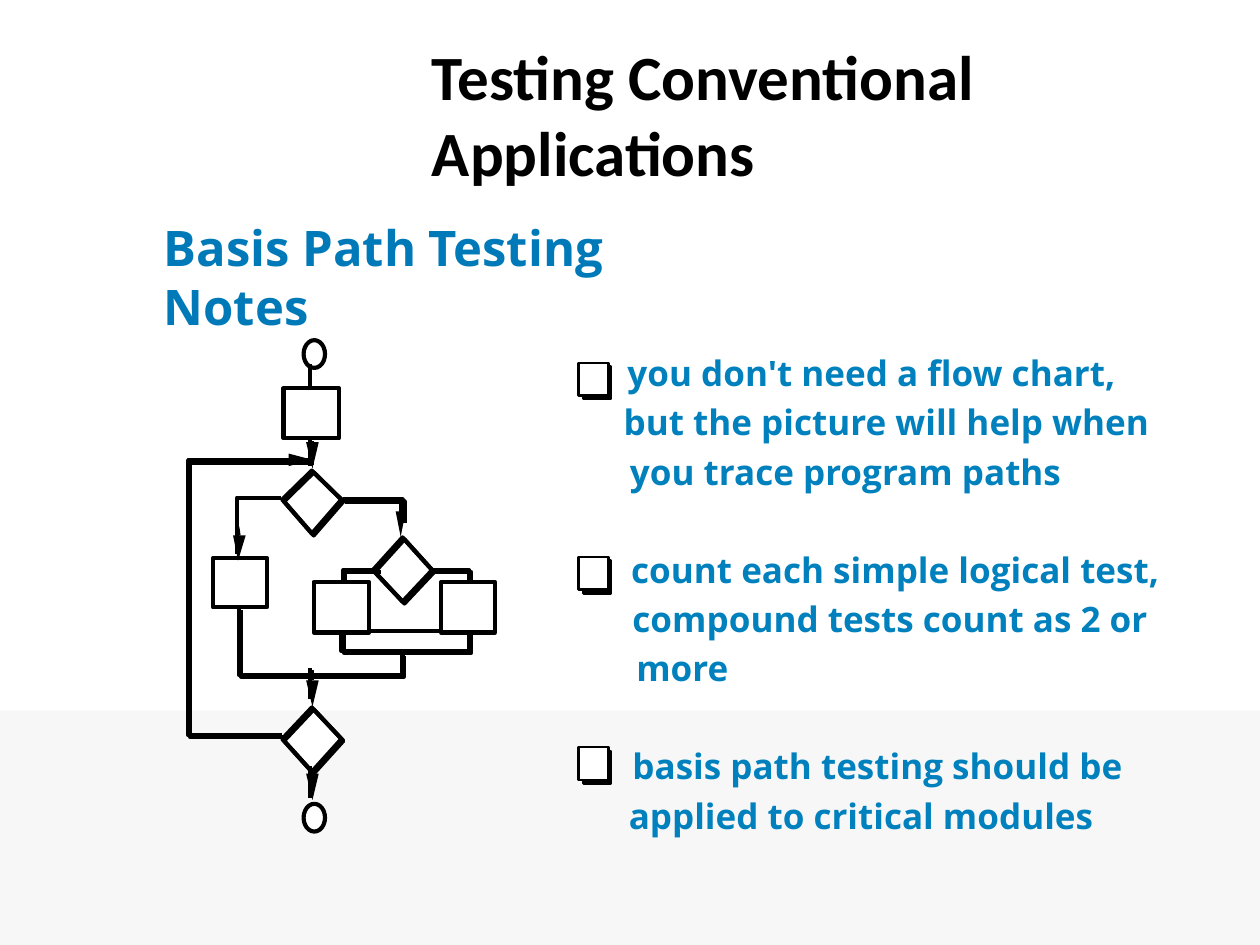
from lxml.etree import SubElement
from pptx import Presentation
from pptx.dml.color import RGBColor
from pptx.enum.shapes import MSO_CONNECTOR as Connector, MSO_SHAPE as Shape
from pptx.enum.text import MSO_ANCHOR as Anchor, MSO_AUTO_SIZE as AutoSize, PP_ALIGN as Align
from pptx.oxml.ns import qn
from pptx.util import Inches, Pt

BLACK = RGBColor(0x00, 0x00, 0x00)
WHITE = RGBColor(0xFF, 0xFF, 0xFF)
BAND = RGBColor(0xF7, 0xF7, 0xF7)
TITLE_BLUE = RGBColor(0x00, 0x79, 0xB8)
NOTE_BLUE = RGBColor(0x00, 0x81, 0xBD)
THICK, THIN = 2.38, 1.39
OFFSET = 0.015


class FlowSlide:
    def __init__(self, slide):
        self.slide = slide
        self.shapes = slide.shapes

    def paint(self, shape, fill=None, line=None, weight=THICK):
        shape.shadow.inherit = False
        if fill is None:
            shape.fill.background()
        else:
            shape.fill.solid()
            shape.fill.fore_color.rgb = fill
        if line is None:
            shape.line.fill.background()
        else:
            shape.line.color.rgb = line
            shape.line.width = Pt(weight)

    def preset(self, kind, left, top, width, height, **paint):
        shape = self.shapes.add_shape(
            kind, Inches(left), Inches(top), Inches(width), Inches(height))
        self.paint(shape, **paint)

    def framed(self, kind, left, top, width, height):
        self.preset(kind, left + OFFSET, top + OFFSET,
                    width - 2 * OFFSET, height - 2 * OFFSET, fill=WHITE)
        self.preset(kind, left, top, width, height, line=BLACK)

    def outline(self, points, shift=0, closed=False, **paint):
        corners = [(Inches(x - shift), Inches(y - shift)) for x, y in points]
        builder = self.shapes.build_freeform(*corners[0])
        builder.add_line_segments(corners[1:], close=closed)
        self.paint(builder.convert_to_shape(), **paint)

    def wire(self, *points, closed=False):
        for shift in (0, OFFSET):
            self.outline(points, shift, closed, line=BLACK)

    def decision(self, center, top, middle, bottom):
        half = 0.235
        corners = [(center, top), (center - half, middle),
                   (center, bottom), (center + half, middle)]
        self.outline(corners, closed=True, fill=WHITE)
        self.wire(*corners, closed=True)

    def line(self, start, end, weight=THICK):
        connector = self.shapes.add_connector(
            Connector.STRAIGHT, *map(Inches, start + end))
        connector.line.color.rgb = BLACK
        connector.line.width = Pt(weight)
        SubElement(connector._element.spPr, qn("a:effectLst"))

    def arrow(self, tail, base, tip, half=0.05):
        x, y = base
        if tip[1] == tail[1]:
            sides = [(x, y + half), (x, y - half)]
        else:
            sides = [(x - half, y), (x + half, y)]
        self.outline([tip, *sides], closed=True, fill=BLACK)
        self.line(tail, base, THIN)

    def set_text(self, box, text, font, size, color, margins=(0, 0), wrap=True, spacing=None):
        frame = box.text_frame
        frame.margin_left = frame.margin_right = Inches(margins[0])
        frame.margin_top = frame.margin_bottom = Inches(margins[1])
        frame.word_wrap = wrap
        frame.auto_size = AutoSize.SHAPE_TO_FIT_TEXT
        frame.vertical_anchor = Anchor.TOP
        paragraph = frame.paragraphs[0]
        paragraph.alignment = Align.LEFT
        paragraph.line_spacing = spacing
        run = paragraph.add_run()
        run.text = text
        run.font.name, run.font.size, run.font.bold = font, Pt(size), True
        run.font.color.rgb = color

    def title(self, text, left, top, width, height):
        title = self.shapes.title
        title.left, title.top = Inches(left), Inches(top)
        title.width, title.height = Inches(width), Inches(height)
        self.set_text(title, text, "Open Sans", 28, TITLE_BLUE, (0.07, 0.03))

    def text_box(self, left, top, width, height, *content, **layout):
        box = self.shapes.add_textbox(
            Inches(left), Inches(top), Inches(width), Inches(height))
        self.set_text(box, *content, **layout)

    def checkbox(self, top):
        self.preset(Shape.RECTANGLE, 4.63, top + 0.03, 0.22, 0.26,
                    fill=BLACK, line=BLACK, weight=THIN)
        self.preset(Shape.RECTANGLE, 4.59, top, 0.24, 0.26,
                    fill=WHITE, line=BLACK, weight=THIN)


def draw_flow_chart(flow):
    flow.decision(3.21, 4.28, 4.54, 4.79)
    flow.framed(Shape.OVAL, 2.41, 2.7, 0.17, 0.22)
    flow.decision(2.49, 3.75, 3.98, 4.25)
    flow.decision(2.49, 5.63, 5.88, 6.14)
    flow.wire((2.74, 3.98), (3.21, 3.98), (3.21, 4.15))
    flow.line((2.46, 2.89), (2.46, 3.7))
    flow.framed(Shape.RECTANGLE, 2.25, 3.08, 0.44, 0.4)
    flow.outline([(2.23, 3.95), (1.88, 3.95), (1.88, 4.4)], line=BLACK)
    flow.wire((3.45, 4.54), (3.74, 4.54), (3.74, 4.79))
    flow.wire((3.02, 4.54), (2.74, 4.54), (2.74, 4.87))
    flow.outline([(2.73, 5.02), (2.73, 5.18), (3.74, 5.18), (3.74, 5.02)], line=BLACK)
    flow.preset(Shape.RECTANGLE, 2.71, 5.01, 1.01, 0.16, line=BLACK)
    for left, top, width, height in [
            (2.49, 4.62, 0.44, 0.4), (3.5, 4.62, 0.43, 0.4), (1.69, 4.43, 0.43, 0.39)]:
        flow.framed(Shape.RECTANGLE, left, top, width, height)
    for top in (5.3, 6.08):
        flow.line((2.46, top), (2.46, top + 0.25))
    flow.framed(Shape.OVAL, 2.41, 6.38, 0.17, 0.22)
    flow.wire((2.25, 5.85), (1.51, 5.85), (1.51, 3.67), (2.49, 3.67))
    flow.arrow((2.27, 3.65), (2.29, 3.65), (2.48, 3.65))
    flow.arrow((3.18, 3.96), (3.18, 4.06), (3.18, 4.26), half=0.04)
    flow.arrow((1.89, 4.18), (1.9, 4.25), (1.89, 4.45))
    for tail, base, tip in [(5.32, 5.4, 5.61), (3.5, 3.51, 3.72), (6.13, 6.14, 6.35)]:
        flow.arrow((2.48, tail), (2.48, base), (2.48, tip))
    flow.wire((3.21, 5.21), (3.21, 5.37), (1.91, 5.37), (1.91, 4.84))


def main():
    deck = Presentation()
    deck.slide_width, deck.slide_height = Inches(10), Inches(7.5)
    flow = FlowSlide(deck.slides.add_slide(deck.slide_layouts[5]))
    flow.preset(Shape.RECTANGLE, 0, 5.64, 10, 1.86, fill=BAND)
    flow.title("Basis Path Testing Notes", 1.23, 1.7, 4.86, 0.99)
    draw_flow_chart(flow)

    notes = [
        (2.88, 2.83, [(4.98, 3.96, "you don't need a flow chart,"),
                      (4.95, 4.25, "but the picture will help when"),
                      (5, 3.44, "you trace program paths")]),
        (4.42, 4.39, [(5.01, 4.27, "count each simple logical test,"),
                      (5.02, 4.16, "compound tests count as 2 or"),
                      (5.05, 0.74, "more")]),
        (5.93, 5.95, [(5.02, 3.96, "basis path testing should be"),
                      (4.99, 3.69, "applied to critical modules")]),
    ]
    for box_top, text_top, lines in notes:
        flow.checkbox(box_top)
        for row, (left, width, text) in enumerate(lines):
            flow.text_box(left, text_top + 0.39 * row, width, 0.3, text,
                          "Open Sans", 20, NOTE_BLUE, wrap=False, spacing=0.9)

    flow.text_box(3.33, 0.25, 6.08, 1.3, "Testing Conventional Applications",
                  "Calibri", 36, BLACK, margins=(0.1, 0.05))
    deck.save("out.pptx")


if __name__ == "__main__":
    main()
